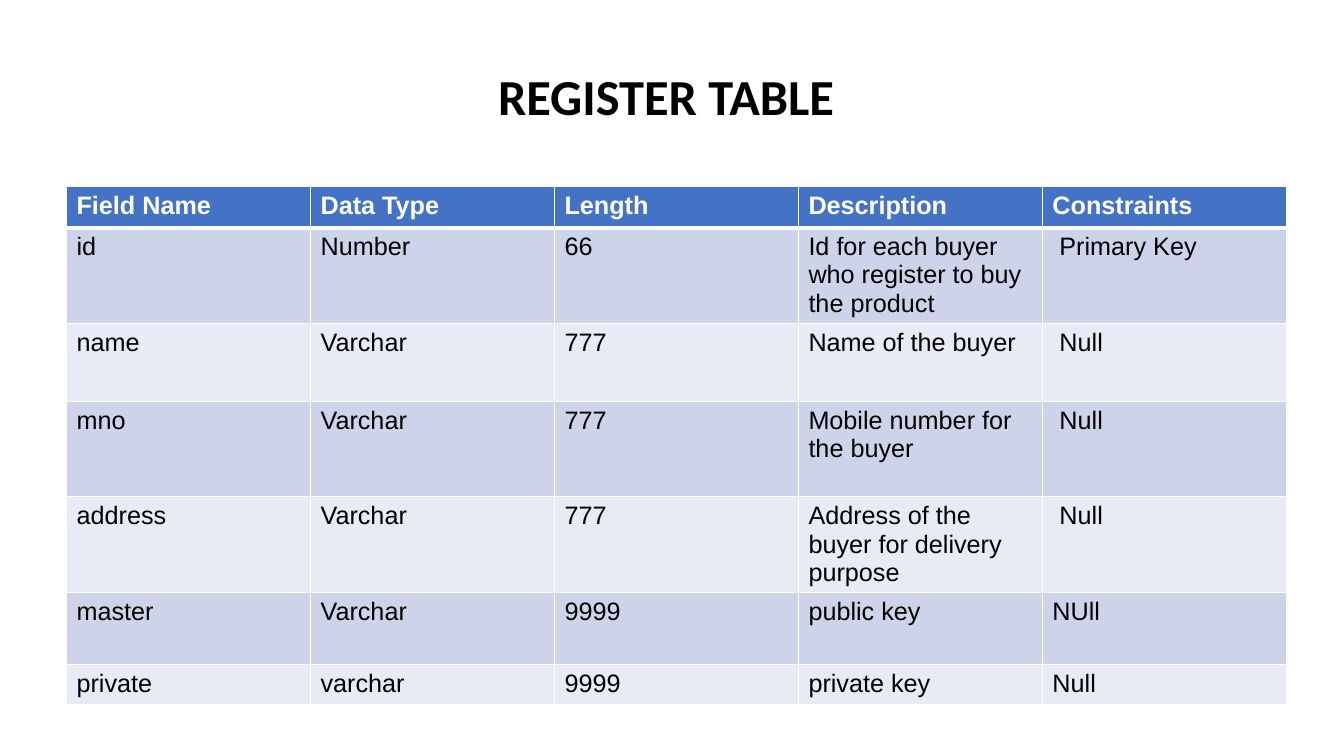
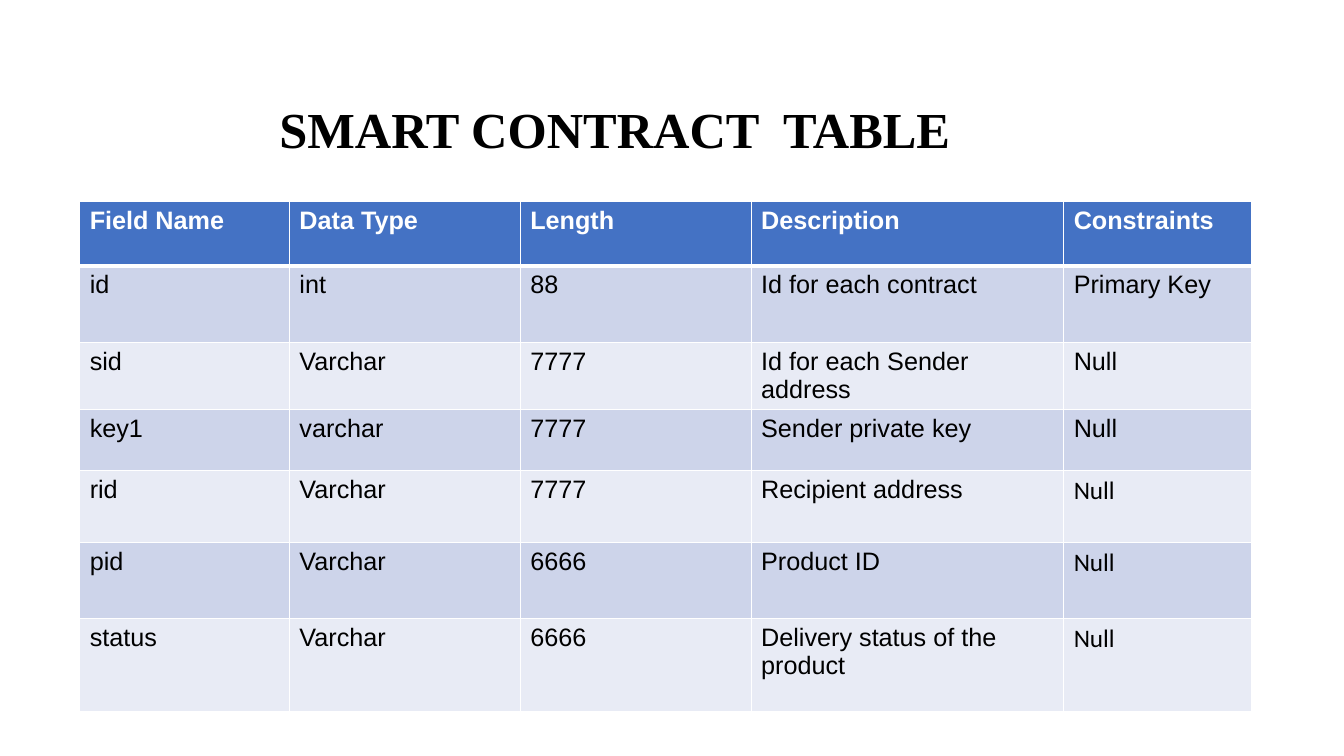
"""Build two slides that describe database tables."""
from lxml import etree
from pptx import Presentation
from pptx.dml.color import RGBColor
from pptx.enum.text import MSO_ANCHOR, MSO_AUTO_SIZE, PP_ALIGN
from pptx.oxml.ns import qn
from pptx.util import Inches, Pt

LEFT, MIDDLE, NO_FIT = PP_ALIGN.LEFT, MSO_ANCHOR.MIDDLE, MSO_AUTO_SIZE.NONE
TITLE_ONLY = 5

COLORS = {
    "header": "4472C4",
    "odd_row": "CDD4EA",
    "even_row": "E8EBF5",
    "white": "FFFFFF",
    "black": "000000",
}
BODY_FONT, BODY_SIZE, TITLE_SIZE = "Arial", 18, 36
THIN, THICK = 1, 3
HEADINGS = ("Field Name", "Data Type", "Length", "Description", "Constraints")

SLIDES = [
    {
        "title": "REGISTER TABLE",
        "title_font": "Calibri",
        "title_box": (0.83, 0.42, 11.5, 1.13),
        "title_indent": 4.11,
        "line_spacing": 0.9,
        "table_corner": (0.66, 1.85),
        "widths": [2.42] * 5,
        "heights": [0.41, 0.95, 0.77, 0.95, 0.95, 0.71, 0.4],
        "fields": [
            ("id", "Number", "66", "Id for each buyer who register to buy the product", " Primary Key"),
            ("name", "Varchar", "777", "Name of the buyer", " Null"),
            ("mno", "Varchar", "777", "Mobile number for the buyer", " Null"),
            ("address", "Varchar", "777", "Address of the buyer for delivery purpose", " Null"),
            ("master", "Varchar", "9999", "public key", "NUll"),
            ("private", "varchar", "9999", "private key", "Null"),
        ],
        "calibri_constraints": (),
    },
    {
        "title": "SMART CONTRACT  TABLE",
        "title_font": "Times New Roman",
        "title_box": (0.92, 0.4, 11.5, 1.45),
        "title_indent": 1.85,
        "line_spacing": 1.5,
        "table_corner": (0.79, 2),
        "widths": [2.08, 2.29, 2.29, 3.1, 1.86],
        "heights": [0.64, 0.76, 0.66, 0.61, 0.71, 0.76, 0.92],
        "fields": [
            ("id", "int", "88", "Id for each contract", "Primary Key"),
            ("sid", "Varchar", "7777", "Id for each Sender address", "Null"),
            ("key1", "varchar", "7777", "Sender private key", "Null"),
            ("rid", "Varchar", "7777", "Recipient address", "Null"),
            ("pid", "Varchar", "6666", "Product ID", "Null"),
            ("status", "Varchar", "6666", "Delivery status of the product", "Null"),
        ],
        "calibri_constraints": ("rid", "pid", "status"),
    },
]


def style_text(paragraph, font_name, size, color, bold):
    for run in paragraph.runs:
        run.font.name = font_name
        run.font.size = Pt(size)
        run.font.bold = bold
        run.font.color.rgb = RGBColor.from_string(COLORS[color])


def add_borders(cell, top, bottom):
    properties = cell._tc.get_or_add_tcPr()
    for side, points in (("L", THIN), ("R", THIN), ("T", top), ("B", bottom)):
        border = etree.SubElement(properties, qn(f"a:ln{side}"), w=str(Pt(points)))
        fill = etree.SubElement(border, qn("a:solidFill"))
        etree.SubElement(fill, qn("a:srgbClr"), val=COLORS["white"])


def format_title(title, content):
    title.left, title.top, title.width, title.height = map(Inches, content["title_box"])
    frame = title.text_frame
    frame.text = content["title"]
    frame.auto_size = NO_FIT
    frame.vertical_anchor = MIDDLE
    frame.margin_left = Inches(content["title_indent"])
    paragraph = frame.paragraphs[0]
    paragraph.alignment = LEFT
    paragraph.line_spacing = content["line_spacing"]
    style_text(paragraph, content["title_font"], TITLE_SIZE, "black", True)


def add_field_table(slide, content):
    widths, heights = content["widths"], content["heights"]
    rows = [HEADINGS, *content["fields"]]
    size = (sum(widths), sum(heights))
    table = slide.shapes.add_table(
        len(rows), len(HEADINGS), *map(Inches, content["table_corner"] + size)
    ).table
    for column, width in zip(table.columns, widths):
        column.width = Inches(width)
    for row_number, (row, height, texts) in enumerate(zip(table.rows, heights, rows)):
        row.height = Inches(height)
        is_header = row_number == 0
        band = "header" if is_header else "odd_row" if row_number % 2 else "even_row"
        for heading, cell, text in zip(HEADINGS, row.cells, texts):
            cell.text = text
            add_borders(cell, THICK if row_number == 1 else THIN, THICK if is_header else THIN)
            cell.fill.solid()
            cell.fill.fore_color.rgb = RGBColor.from_string(COLORS[band])
            is_calibri = heading == "Constraints" and texts[0] in content["calibri_constraints"]
            style_text(
                cell.text_frame.paragraphs[0],
                "Calibri" if is_calibri else BODY_FONT,
                BODY_SIZE,
                "white" if is_header else "black",
                is_header,
            )


def main():
    deck = Presentation()
    deck.slide_width, deck.slide_height = Inches(13.33), Inches(7.5)
    for content in SLIDES:
        slide = deck.slides.add_slide(deck.slide_layouts[TITLE_ONLY])
        format_title(slide.shapes.title, content)
        add_field_table(slide, content)
    deck.save("out.pptx")


if __name__ == "__main__":
    main()
